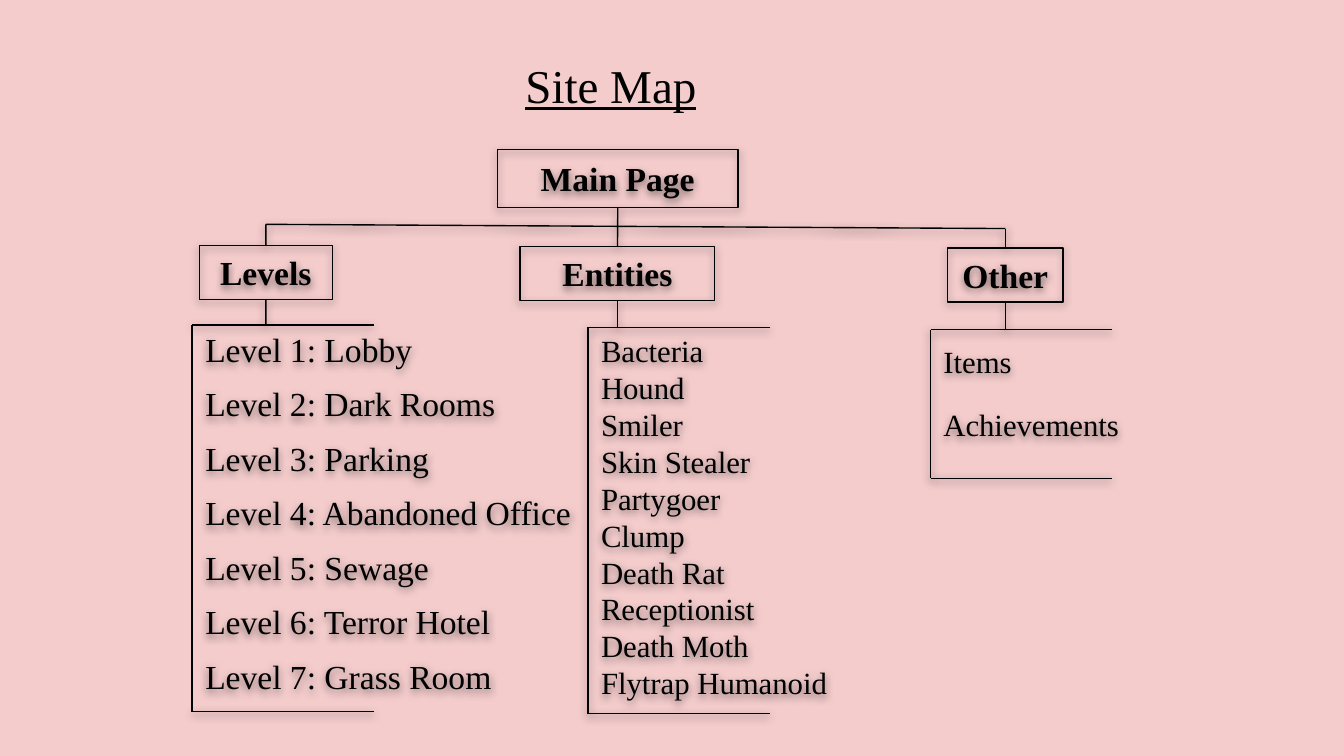
from dataclasses import dataclass
from typing import Optional

from lxml.etree import fromstring
from pptx import Presentation
from pptx.dml.color import RGBColor
from pptx.enum.shapes import MSO_CONNECTOR as Conn, MSO_SHAPE as Shape
from pptx.enum.text import MSO_ANCHOR as Anchor, MSO_AUTO_SIZE as AutoSize, PP_ALIGN as Align
from pptx.util import Cm, Pt

COLORS = {"background": "F4CCCC", "ink": "000000"}
FONT = "Times New Roman"
INSET = 0.25
TOP, BOTTOM = 0, 2  # connection sites of a rectangle
NS = "http://schemas.openxmlformats.org/drawingml/2006/main"
SHADOW = (
    '<a:outerShdw blurRad="57150" dist="19050" dir="5400000" algn="bl" rotWithShape="0">'
    f'<a:srgbClr val="{COLORS["ink"]}"><a:alpha val="50000"/></a:srgbClr></a:outerShdw>'
)


@dataclass
class Box:
    text: str
    left: float
    top: float
    width: float
    height: float

    @property
    def center(self) -> float:
        return self.left + self.width / 2

    @property
    def bottom(self) -> float:
        return self.top + self.height


@dataclass
class Bracket:
    left: float
    top: float
    right: float
    bottom: float
    spine_shadow: bool = True


@dataclass
class Branch:
    box: Box
    bracket: Bracket


MAIN = Box("Main Page", 9.4, 2.83, 4.55, 1.09)
LEVELS = Branch(Box("Levels", 3.77, 4.64, 2.51, 1.02),
                Bracket(3.63, 6.14, 7.06, 13.45, spine_shadow=False))
ENTITIES = Branch(Box("Entities", 9.83, 4.66, 3.68, 1.02), Bracket(11.11, 6.19, 14.55, 13.49))
OTHER = Branch(Box("Other", 17.91, 4.69, 2.18, 1.02), Bracket(17.59, 6.23, 21.01, 9.04))
BUS_LEFT, BUS_RIGHT = 4.24, 4.32  # heights of the two ends of the cross line

LEVEL_TOP, LEVEL_PITCH = 5.96, 1.03
LEVEL_ROWS = [
    ("Level 1: Lobby", 5.94),
    ("Level 2: Dark Rooms", 6.68),
    ("Level 3: Parking", 4.8),
    ("Level 4: Abandoned Office", 7.87),
    ("Level 5: Sewage", 5),
    ("Level 6: Terror Hotel", 6.99),
    ("Level 7: Grass Room", 6.58),
]
ENTITY_LIST = Box("Bacteria\nHound\nSmiler\nSkin Stealer\nPartygoer\nClump\nDeath Rat\n"
                  "Receptionist\nDeath Moth\nFlytrap Humanoid", 11.11, 6.02, 5.94, 7.62)
OTHER_LIST = Box("Items\nAchievements", 17.58, 6.23, 4.62, 2.79)


def color(name: str) -> RGBColor:
    return RGBColor.from_string(COLORS[name])


def set_effects(s, shadow: bool = True) -> None:
    """Give the shape the soft shadow, or an empty effect list."""
    s._element.spPr.append(
        fromstring(f'<a:effectLst xmlns:a="{NS}">{SHADOW if shadow else ""}</a:effectLst>'))


def set_line(s) -> None:
    s.line.color.rgb = color("ink")
    s.line.width = Pt(0.75)


def set_text(s, text: str, size: float, anchor=Anchor.TOP, align=Align.LEFT,
             bold: bool = False, underline: bool = False, gap: float = 0) -> None:
    """Fill the shape with one paragraph a line; gap is the points between them."""
    tf = s.text_frame
    tf.text = text
    tf.word_wrap = True
    tf.auto_size = AutoSize.NONE
    tf.vertical_anchor = anchor
    tf.margin_left = tf.margin_right = tf.margin_top = tf.margin_bottom = Cm(INSET)
    for i, p in enumerate(tf.paragraphs):
        p.alignment = align
        p.line_spacing = 1.0
        p.space_before = Pt(gap if i else 0)
        for r in p.runs:
            r.font.name = FONT
            r.font.size = Pt(size)
            r.font.bold = bold
            r.font.underline = underline
            r.font.color.rgb = color("ink")


def add_box(slide, box: Box):
    s = slide.shapes.add_shape(Shape.RECTANGLE, Cm(box.left), Cm(box.top),
                               Cm(box.width), Cm(box.height))
    s.fill.background()
    set_line(s)
    set_effects(s)
    set_text(s, box.text, 18, Anchor.MIDDLE, Align.CENTER, bold=True)
    return s


def add_text(slide, box: Box, size: float, gap: float = 0) -> None:
    s = slide.shapes.add_textbox(Cm(box.left), Cm(box.top), Cm(box.width), Cm(box.height))
    set_effects(s)
    set_text(s, box.text, size, gap=gap)


def add_line(slide, x1: float, y1: float, x2: float, y2: float, shadow: bool = True,
             start: Optional[object] = None, end: Optional[object] = None) -> None:
    """Draw a line, joined to the bottom of start and the top of end if given."""
    s = slide.shapes.add_connector(Conn.STRAIGHT, Cm(x1), Cm(y1), Cm(x2), Cm(y2))
    if start is not None:
        s.begin_connect(start, BOTTOM)
    if end is not None:
        s.end_connect(end, TOP)
    set_line(s)
    set_effects(s, shadow)


def add_branch(slide, branch: Branch):
    """Draw the heading box, its stem and the bracket around its list."""
    box, b = branch.box, branch.bracket
    s = add_box(slide, box)
    add_line(slide, box.center, box.bottom, box.center, b.top, start=s)
    add_line(slide, b.left, b.top, b.left, b.bottom, b.spine_shadow)
    for y in (b.top, b.bottom):
        add_line(slide, b.right, y, b.left, y)
    return s


def main() -> None:
    prs = Presentation()
    prs.slide_width, prs.slide_height = Cm(25.4), Cm(14.29)
    slide = prs.slides.add_slide(prs.slide_layouts[5])
    slide.background.fill.solid()
    slide.background.fill.fore_color.rgb = color("background")

    title = slide.shapes.title
    title.left, title.top, title.width, title.height = Cm(9.68), Cm(0.81), Cm(3.99), Cm(1.6)
    set_text(title, "Site Map", 25.2, underline=True)

    main_box = add_box(slide, MAIN)
    levels, entities, other = (add_branch(slide, b) for b in (LEVELS, ENTITIES, OTHER))

    left, middle, right = (b.box.center for b in (LEVELS, ENTITIES, OTHER))
    add_line(slide, MAIN.center, MAIN.bottom, middle, ENTITIES.box.top,
             start=main_box, end=entities)
    add_line(slide, left, BUS_LEFT, right, BUS_RIGHT)
    add_line(slide, left, BUS_LEFT, left, LEVELS.box.top, end=levels)
    add_line(slide, right, BUS_RIGHT, right, OTHER.box.top, end=other)

    for i, (text, width) in enumerate(LEVEL_ROWS):
        row = Box(text, LEVELS.bracket.left, LEVEL_TOP + i * LEVEL_PITCH, width, 1.3)
        add_text(slide, row, 18)
    add_text(slide, ENTITY_LIST, 16.5)
    add_text(slide, OTHER_LIST, 16.5, gap=14)

    prs.save("out.pptx")


if __name__ == "__main__":
    main()
